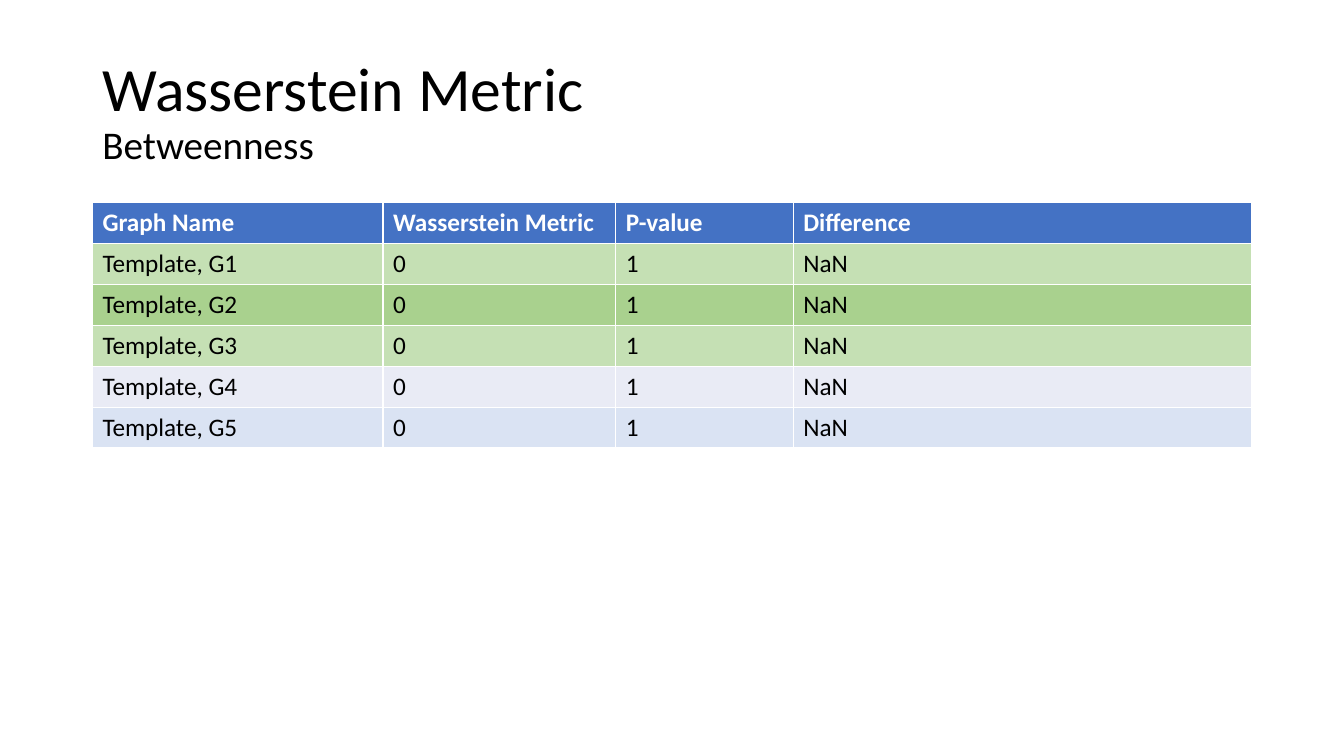
from pptx import Presentation
from pptx.dml.color import RGBColor
from pptx.enum.text import MSO_ANCHOR
from pptx.util import Cm, Pt

FONT = "Calibri"
BLACK = RGBColor(0x00, 0x00, 0x00)
WHITE = RGBColor(0xFF, 0xFF, 0xFF)
BLUE = RGBColor(0x44, 0x72, 0xC4)
LIME = RGBColor(0xC5, 0xE0, 0xB4)
GREEN = RGBColor(0xA9, 0xD1, 0x8E)
GREY = RGBColor(0xE9, 0xEB, 0xF5)
PALE = RGBColor(0xDA, 0xE3, 0xF3)

HEADS = ["Graph Name", "Wasserstein Metric", "P-value", "Difference"]
WIDTHS = [7.32, 5.87, 4.47, 11.55]
FILLS = [LIME, GREEN, LIME, GREY, PALE]


def add_title(slide, left, top, width, height):
    box = slide.shapes.add_textbox(Cm(left), Cm(top), Cm(width), Cm(height))
    frame = box.text_frame
    frame.word_wrap = True
    frame.vertical_anchor = MSO_ANCHOR.MIDDLE
    para = frame.paragraphs[0]
    para.line_spacing = 0.9
    para.font.name = FONT
    para.font.color.rgb = BLACK
    main = para.add_run()
    main.text = "Wasserstein Metric"
    main.font.size = Pt(44)
    para.add_line_break()
    sub = para.add_run()
    sub.text = "Betweenness"
    sub.font.size = Pt(28)


def fill_row(row, texts, fill, color, bold):
    for cell, text in zip(row.cells, texts):
        cell.text = text
        cell.fill.solid()
        cell.fill.fore_color.rgb = fill
        font = cell.text_frame.paragraphs[0].font
        font.name = FONT
        font.size = Pt(18)
        font.bold = bold
        font.color.rgb = color


def add_grid(slide, left, top, width, height):
    count = len(FILLS) + 1
    table = slide.shapes.add_table(
        count, len(HEADS), Cm(left), Cm(top), Cm(width), Cm(height)
    ).table
    for column, size in zip(table.columns, WIDTHS):
        column.width = Cm(width * size / sum(WIDTHS))
    fill_row(table.rows[0], HEADS, BLUE, WHITE, True)
    for index, fill in enumerate(FILLS, 1):
        texts = [f"Template, G{index}", "0", "1", "NaN"]
        fill_row(table.rows[index], texts, fill, BLACK, False)


deck = Presentation()
deck.slide_width = Cm(33.87)
deck.slide_height = Cm(19.05)
page = deck.slides.add_slide(deck.slide_layouts[6])
add_title(page, 2.33, 1.01, 29.21, 3.68)
add_grid(page, 2.33, 5.11, 29.21, 6.18)
deck.save("out.pptx")
